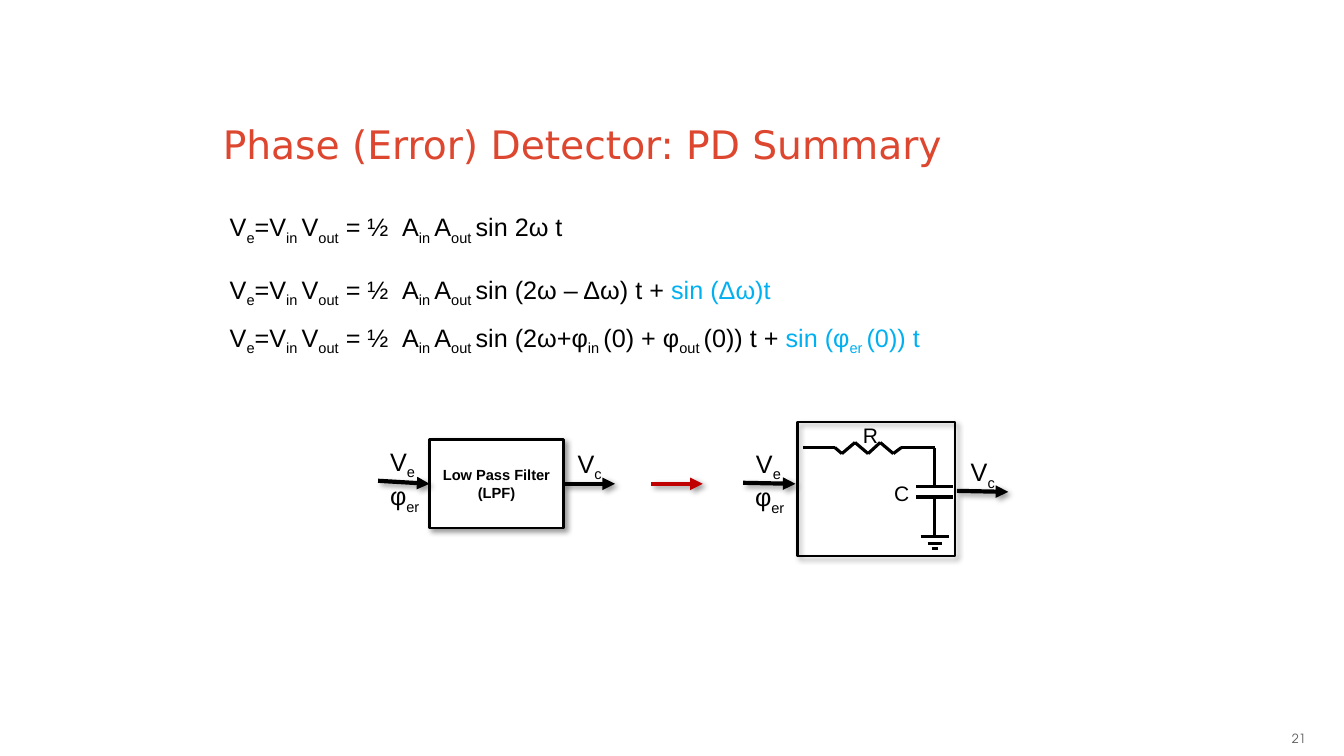
from itertools import pairwise

from lxml.etree import SubElement
from pptx import Presentation
from pptx.dml.color import RGBColor
from pptx.enum.shapes import MSO_CONNECTOR, MSO_SHAPE
from pptx.enum.text import MSO_ANCHOR, MSO_AUTO_SIZE, PP_ALIGN
from pptx.oxml.ns import qn
from pptx.util import Inches, Pt

BLACK = RGBColor(0x00, 0x00, 0x00)
WHITE = RGBColor(0xFF, 0xFF, 0xFF)
TITLE_RED = RGBColor(0xDD, 0x46, 0x2F)
ARROW_RED = RGBColor(0xC0, 0x00, 0x00)
ERROR_BLUE = RGBColor(0x00, 0xB0, 0xF0)
GREY = RGBColor(0x59, 0x59, 0x59)

# Spans alternate between normal text and subscript
V_E = ["V", "e"]
V_C = ["V", "c"]
PHI_ER = ["φ", "er"]
PRODUCT = ["V", "e", "=V", "in ", "V", "out", " = ½\tA", "in ", "A", "out "]
EQUATIONS = [
    (2.05, ["sin 2ω t"], []),
    (2.67, ["sin (2ω – Δω) t + "], ["sin (Δω)t"]),
    (3.15, ["sin (2ω+φ", "in ", "(0) + φ", "out ", "(0)) t + "],
     ["sin (φ", "er ", "(0)) t"]),
]
AMPLITUDE_TAB = 1.71


def style(para, size, color, name="Arial", bold=False, align=PP_ALIGN.LEFT):
    para.alignment = align
    font = para.font
    font.size, font.name, font.bold = Pt(size), name, bold
    font.color.rgb = color


def add_spans(para, spans, color):
    for index, text in enumerate(spans):
        span = para.add_run()
        span.text = text
        span.font.color.rgb = color
        if index % 2:
            span.font._element.set("baseline", "-25000")


def add_text(page, left, top, width, height, spans, size=18, color=BLACK):
    box = page.shapes.add_textbox(
        Inches(left), Inches(top), Inches(width), Inches(height))
    box.text_frame.word_wrap = True
    para = box.text_frame.paragraphs[0]
    add_spans(para, spans, color)
    style(para, size, color)
    return box


def add_equation(page, top, spans, error_spans):
    box = add_text(page, 2.18, top, 8.29, 0.4, PRODUCT + spans)
    para = box.text_frame.paragraphs[0]
    add_spans(para, error_spans, ERROR_BLUE)
    # The tab stop belongs ahead of the paragraph's font
    stops = para._p.get_or_add_pPr().makeelement(qn("a:tabLst"))
    SubElement(stops, qn("a:tab"), pos=str(Inches(AMPLITUDE_TAB)), algn="l")
    para._p.pPr.insert(0, stops)


def add_effects(shape, shadow):
    effects = SubElement(shape._element.spPr, qn("a:effectLst"))
    if shadow:
        outer = SubElement(effects, qn("a:outerShdw"), blurRad=str(Pt(4)),
                           dist=str(Pt(3)), dir="2700000", algn="tl",
                           rotWithShape="0")
        tint = SubElement(outer, qn("a:srgbClr"), val=str(BLACK))
        SubElement(tint, qn("a:alpha"), val="40000")


def add_line(page, start, end, width=2.25, color=BLACK, arrow=False):
    line = page.shapes.add_connector(
        MSO_CONNECTOR.STRAIGHT, *map(Inches, start + end))
    line.line.width = Pt(width)
    line.line.color.rgb = color
    if arrow:
        SubElement(line.line._get_or_add_ln(), qn("a:tailEnd"), type="triangle")
    add_effects(line, arrow)
    return line


def add_arrow(page, start, end, color=BLACK):
    return add_line(page, start, end, 3, color, arrow=True)


def add_frame(page, left, top, width, height, fill=None):
    frame = page.shapes.add_shape(
        MSO_SHAPE.RECTANGLE,
        Inches(left), Inches(top), Inches(width), Inches(height))
    if fill is None:
        frame.fill.background()
    else:
        frame.fill.solid()
        frame.fill.fore_color.rgb = fill
    frame.line.color.rgb = BLACK
    frame.line.width = Pt(1.5)
    add_effects(frame, True)
    return frame


def add_title(page):
    title = page.shapes.title
    title.left, title.top = Inches(2.11), Inches(0.61)
    title.width, title.height = Inches(7.89), Inches(1.1)
    frame = title.text_frame
    frame.text = "Phase (Error) Detector: PD Summary"
    frame.vertical_anchor = MSO_ANCHOR.BOTTOM
    frame.auto_size = MSO_AUTO_SIZE.NONE
    style(frame.paragraphs[0], 28, TITLE_RED, "DejaVu Sans")


def add_page_number(page):
    box = add_text(page, 9.47, 7.13, 3.58, 0.4, ["21"], 9, GREY)
    box.text_frame.vertical_anchor = MSO_ANCHOR.MIDDLE
    style(box.text_frame.paragraphs[0], 9, GREY, "TeX Gyre Adventor",
          align=PP_ALIGN.RIGHT)


def add_filter_block(page):
    block = add_frame(page, 4.26, 4.36, 1.33, 0.88, WHITE)
    frame = block.text_frame
    frame.text = "Low Pass Filter\n(LPF)"
    frame.vertical_anchor = MSO_ANCHOR.MIDDLE
    for para in frame.paragraphs:
        style(para, 10.5, BLACK, bold=True, align=PP_ALIGN.CENTER)
    add_arrow(page, (3.75, 4.77), (4.26, 4.8)).end_connect(block, 1)
    add_arrow(page, (5.59, 4.8), (6.1, 4.8)).begin_connect(block, 3)
    add_text(page, 3.77, 4.38, 0.49, 0.4, V_E)
    add_text(page, 3.77, 4.72, 0.59, 0.4, PHI_ER)
    add_text(page, 5.63, 4.4, 0.46, 0.4, V_C)


def add_rc_circuit(page):
    # Input wire, resistor zigzag and wire down to the capacitor
    middle = 9.27
    wire = [(7.96, 4.44), (8.28, 4.44), (8.35, 4.5), (8.48, 4.39),
            (8.61, 4.5), (8.73, 4.39), (8.86, 4.5), (8.94, 4.44),
            (middle, 4.44), (middle, 4.83)]
    for start, end in pairwise(wire):
        add_line(page, start, end)
    add_line(page, (middle, 4.93), (middle, 5.32))

    # Capacitor plates and ground bars
    for height, half in [(4.83, 0.18), (4.93, 0.18),
                         (5.32, 0.14), (5.39, 0.07), (5.44, 0.03)]:
        add_line(page, (middle - half, height), (middle + half, height))
    add_text(page, 8.46, 4.14, 0.35, 0.35, ["R"], 15)
    add_text(page, 8.77, 4.72, 0.28, 0.35, ["C"], 15)

    # Frame with its input and output
    add_frame(page, 7.91, 4.19, 1.56, 1.33)
    add_arrow(page, (7.37, 4.79), (7.89, 4.8))
    add_arrow(page, (9.49, 4.87), (10, 4.88))
    add_text(page, 7.4, 4.4, 0.54, 0.4, V_E)
    add_text(page, 7.39, 4.73, 0.59, 0.4, PHI_ER)
    add_text(page, 9.53, 4.48, 0.46, 0.4, V_C)


def main():
    deck = Presentation()
    deck.slide_width, deck.slide_height = Inches(13.33), Inches(7.5)
    page = deck.slides.add_slide(deck.slide_layouts[5])
    add_title(page)
    add_page_number(page)
    for top, spans, error_spans in EQUATIONS:
        add_equation(page, top, spans, error_spans)
    add_filter_block(page)
    add_arrow(page, (6.46, 4.8), (6.97, 4.8), ARROW_RED)
    add_rc_circuit(page)
    deck.save("out.pptx")


if __name__ == "__main__":
    main()
